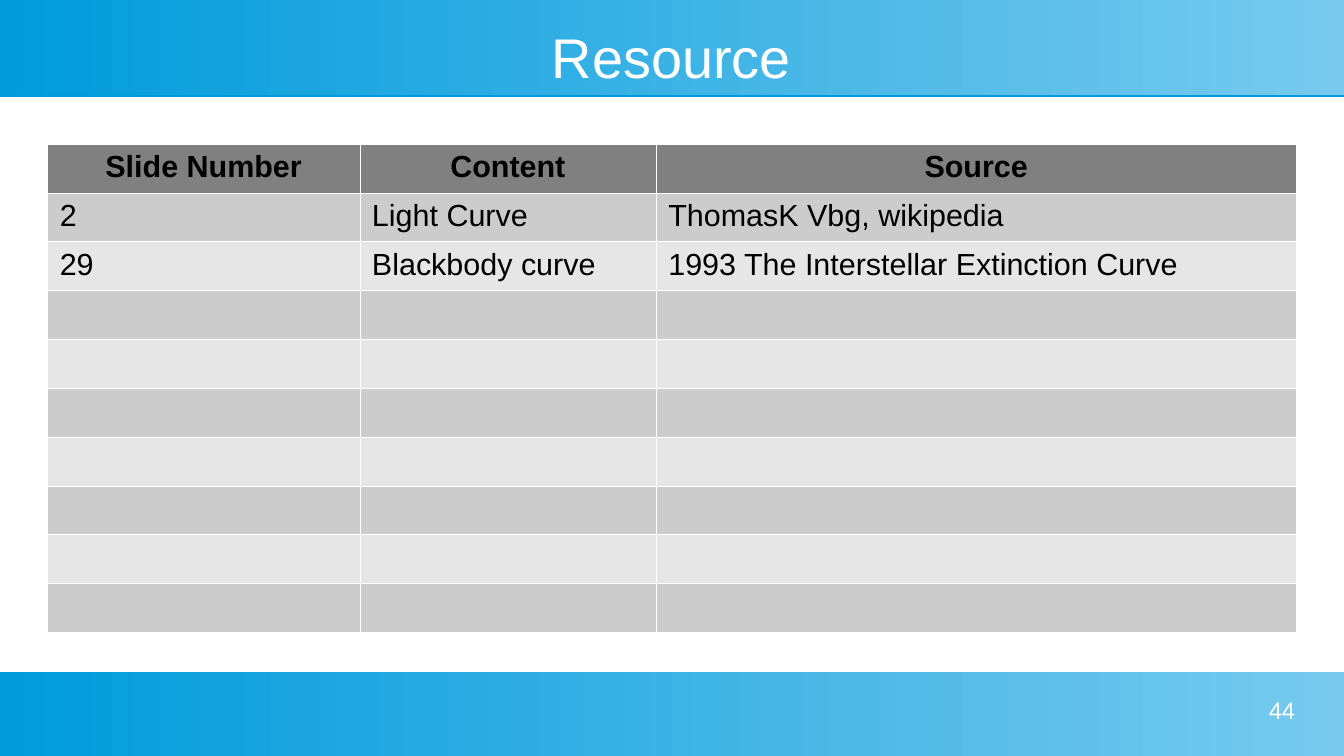
from lxml import etree
from pptx import Presentation
from pptx import util as u
from pptx.dml.color import RGBColor
from pptx.enum import shapes, text
from pptx.oxml import ns

# Content
TITLE, PAGE = "Resource", "44"
HEADER = ("Slide Number", "Content", "Source")
ENTRIES = [
    ("2", "Light Curve", "ThomasK Vbg, wikipedia"),
    ("29", "Blackbody curve", "1993 The Interstellar Extinction Curve"),
]
EMPTY_ROWS = 7

# Layout in inches
WIDTH, HEIGHT = 11.02, 6.2
BANDS = [(0, 0.78), (5.51, 0.69)]  # top, height
MARGIN = 0.39
TABLE_TOP, ROW_HEIGHT = 1.18, 0.39
COLUMNS = (2.56, 2.43, 5.25)

# Colours
LIGHT_BLUE, BLUE, WHITE, BLACK = "77CAEE", "009BDD", "FFFFFF", "000000"
HEADER_GREY, ROW_GREYS = "808080", ("CCCCCC", "E6E6E6")

LEFT, CENTER, RIGHT = (text.PP_ALIGN.LEFT, text.PP_ALIGN.CENTER,
                       text.PP_ALIGN.RIGHT)
TOP, MIDDLE = text.MSO_ANCHOR.TOP, text.MSO_ANCHOR.MIDDLE


def rgb(value):
    return RGBColor.from_string(value)


def write(tf, words, size, color, align, bold=False):
    p = tf.paragraphs[0]
    p.alignment = align
    r = p.add_run()
    r.text = words
    for name, value in dict(name="Arial", size=u.Pt(size), bold=bold).items():
        setattr(r.font, name, value)
    r.font.color.rgb = rgb(color)


def add_label(s, box, words, size, align, anchor):
    tf = s.shapes.add_textbox(*map(u.Inches, box)).text_frame
    frame = dict(word_wrap=True, vertical_anchor=anchor, margin_left=0,
                 margin_right=0, margin_top=0, margin_bottom=0)
    for name, value in frame.items():
        setattr(tf, name, value)
    write(tf, words, size, WHITE, align)


def add_band(s, top, height):
    box = map(u.Inches, (0, top, WIDTH, height))
    sp = s.shapes.add_shape(shapes.MSO_SHAPE.RECTANGLE, *box)
    sp.line.fill.background()
    sp.fill.gradient()
    sp.fill.gradient_angle = 180
    for stop, color in zip(sp.fill.gradient_stops, (LIGHT_BLUE, BLUE)):
        stop.color.rgb = rgb(color)
    # Thin solid shadow under the band
    sp.shadow.inherit = False
    effects = sp._element.spPr.find(ns.qn("a:effectLst"))
    shadow = etree.SubElement(effects, ns.qn("a:outerShdw"), blurRad="0",
                              dist=str(u.Pt(0.9)), dir="5400000",
                              rotWithShape="0")
    etree.SubElement(shadow, ns.qn("a:srgbClr"), val=BLUE)


def style_cell(cell, fill):
    tcPr = cell._tc.get_or_add_tcPr()
    for side in ("a:lnL", "a:lnR", "a:lnT", "a:lnB"):
        ln = etree.SubElement(tcPr, ns.qn(side), w=str(u.Pt(0.06)))
        solid = etree.SubElement(ln, ns.qn("a:solidFill"))
        etree.SubElement(solid, ns.qn("a:srgbClr"), val=WHITE)
    cell.fill.solid()
    cell.fill.fore_color.rgb = rgb(fill)


def add_source_table(s):
    rows = [HEADER] + ENTRIES + [("",) * len(HEADER)] * EMPTY_ROWS
    box = (MARGIN, TABLE_TOP, sum(COLUMNS), ROW_HEIGHT * len(rows))
    table = s.shapes.add_table(len(rows), len(COLUMNS),
                               *map(u.Inches, box)).table
    for column, width in zip(table.columns, COLUMNS):
        column.width = u.Inches(width)
    for i, row in enumerate(rows):
        is_header = i == 0
        table.rows[i].height = u.Inches(ROW_HEIGHT)
        for j, words in enumerate(row):
            cell = table.cell(i, j)
            style_cell(cell, HEADER_GREY if is_header else ROW_GREYS[(i - 1) % 2])
            if words:
                write(cell.text_frame, words, 18, BLACK,
                      CENTER if is_header else LEFT, is_header)


def main():
    prs = Presentation()
    prs.slide_width, prs.slide_height = u.Inches(WIDTH), u.Inches(HEIGHT)
    s = prs.slides.add_slide(prs.slide_layouts[6])
    for top, height in BANDS:
        add_band(s, top, height)
    add_label(s, (MARGIN, 0.2, 10.23, 0.52), TITLE, 33, CENTER, MIDDLE)
    add_source_table(s)
    add_label(s, (8.07, 5.71, 2.55, 0.39), PAGE, 14, RIGHT, TOP)
    prs.save("out.pptx")


if __name__ == "__main__":
    main()
